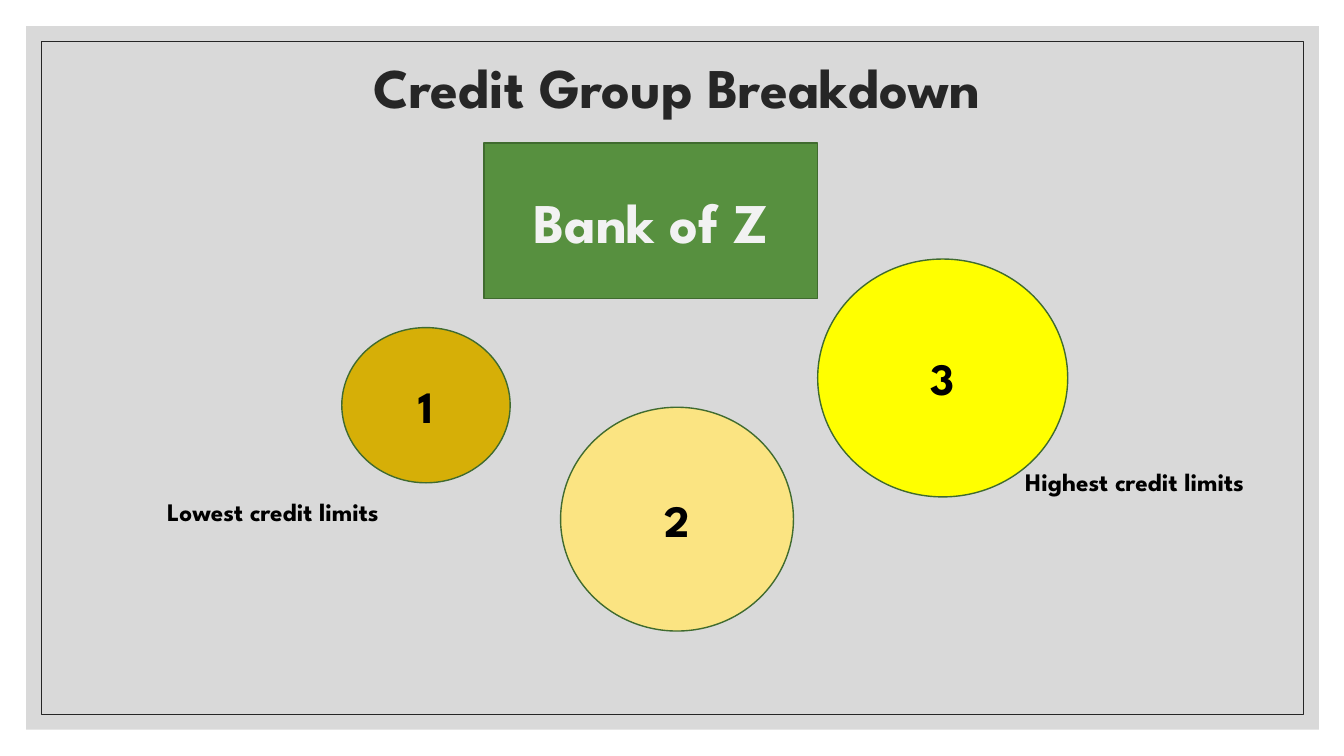
from dataclasses import dataclass

from pptx import Presentation
from pptx.dml.color import RGBColor
from pptx.enum.shapes import MSO_SHAPE
from pptx.enum.text import MSO_ANCHOR, PP_ALIGN
from pptx.util import Inches, Pt

RECTANGLE, OVAL = MSO_SHAPE.RECTANGLE, MSO_SHAPE.OVAL
TOP, MIDDLE = MSO_ANCHOR.TOP, MSO_ANCHOR.MIDDLE
LEFT, CENTER = PP_ALIGN.LEFT, PP_ALIGN.CENTER


@dataclass(frozen=True)
class Theme:
    font: str = "League Spartan"
    panel: str = "D9D9D9"
    ink: str = "262626"
    black: str = "000000"
    pale: str = "F2F2F2"
    bank: str = "57903F"
    outline: str = "406B2F"
    low: str = "D6AF07"
    middle: str = "FBE482"
    high: str = "FFFF00"
    heading_size: int = 40
    number_size: int = 32
    label_size: int = 18


THEME = Theme()


def color(value):
    return RGBColor.from_string(value)


def write(shape, text, size, ink, align=CENTER, anchor=MIDDLE, spacing=1.0):
    frame = shape.text_frame
    for name, value in {"word_wrap": True, "vertical_anchor": anchor}.items():
        setattr(frame, name, value)
    para = frame.paragraphs[0]
    for name, value in {"alignment": align, "line_spacing": spacing}.items():
        setattr(para, name, value)
    span = para.add_run()
    span.text = text
    span.font.color.rgb = color(ink)
    for name, value in {"name": THEME.font, "size": Pt(size), "bold": True}.items():
        setattr(span.font, name, value)


def add_figure(page, kind, box, fill=None, line=None, width=1):
    shape = page.shapes.add_shape(kind, *map(Inches, box))
    shape.shadow.inherit = False
    if fill:
        shape.fill.solid()
        shape.fill.fore_color.rgb = color(fill)
    else:
        shape.fill.background()
    if line:
        shape.line.color.rgb = color(line)
        shape.line.width = Pt(width)
    else:
        shape.line.fill.background()
    return shape


def add_label(page, box, text, size, ink, **layout):
    write(page.shapes.add_textbox(*map(Inches, box)), text, size, ink, **layout)


def add_frame(page, box, inset=0.15):
    """Grey panel with a thin inner border."""
    left, top, width, height = box
    inner = (left + inset, top + inset, width - 2 * inset, height - 2 * inset)
    add_figure(page, RECTANGLE, box, fill=THEME.panel)
    add_figure(page, RECTANGLE, inner, line=THEME.ink, width=0.5)


def add_bank(page, box):
    bank = add_figure(page, RECTANGLE, box, THEME.bank, THEME.outline)
    write(bank, "Bank of Z", THEME.heading_size, THEME.pale)


def add_groups(page, box):
    """Numbered credit groups and the labels at both ends of the range."""
    left, top = box[:2]
    # Offsets within the region, then size
    groups = [
        ("1", THEME.low, 1.83, 0.68, 1.67, 1.54),
        ("3", THEME.high, 6.55, 0, 2.48, 2.36),
        ("2", THEME.middle, 4, 1.47, 2.31, 2.22),
    ]
    for number, fill, x, y, width, height in groups:
        circle = add_figure(page, OVAL, (left + x, top + y, width, height),
                            fill, THEME.outline)
        write(circle, number, THEME.number_size, THEME.black)
    labels = [
        ("Lowest credit limits", 0, 2.3, 2.49),
        ("Highest credit limits", 8.51, 2.01, 2.68),
    ]
    for text, x, y, width in labels:
        add_label(page, (left + x, top + y, width, 0.4), text,
                  THEME.label_size, THEME.black, align=LEFT, anchor=TOP)


deck = Presentation()
deck.slide_width, deck.slide_height = Inches(13.33), Inches(7.5)
page = deck.slides.add_slide(deck.slide_layouts[6])

add_frame(page, (0.26, 0.26, 12.82, 6.98))
add_label(page, (1.21, 0.28, 11, 1.23), "Credit Group Breakdown",
          THEME.heading_size, THEME.ink, spacing=0.9)
add_bank(page, (4.8, 1.42, 3.31, 1.54))
add_groups(page, (1.56, 2.57, 11.19, 3.69))

deck.save("out.pptx")
